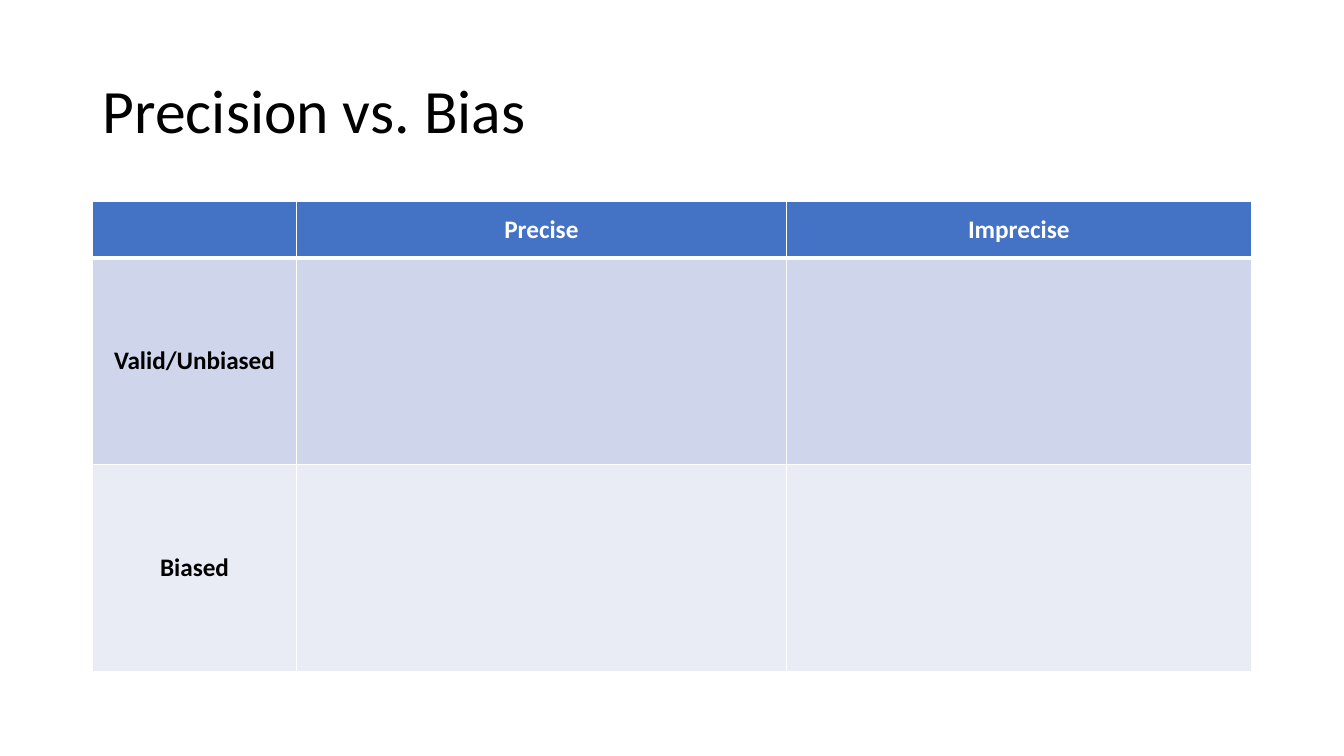
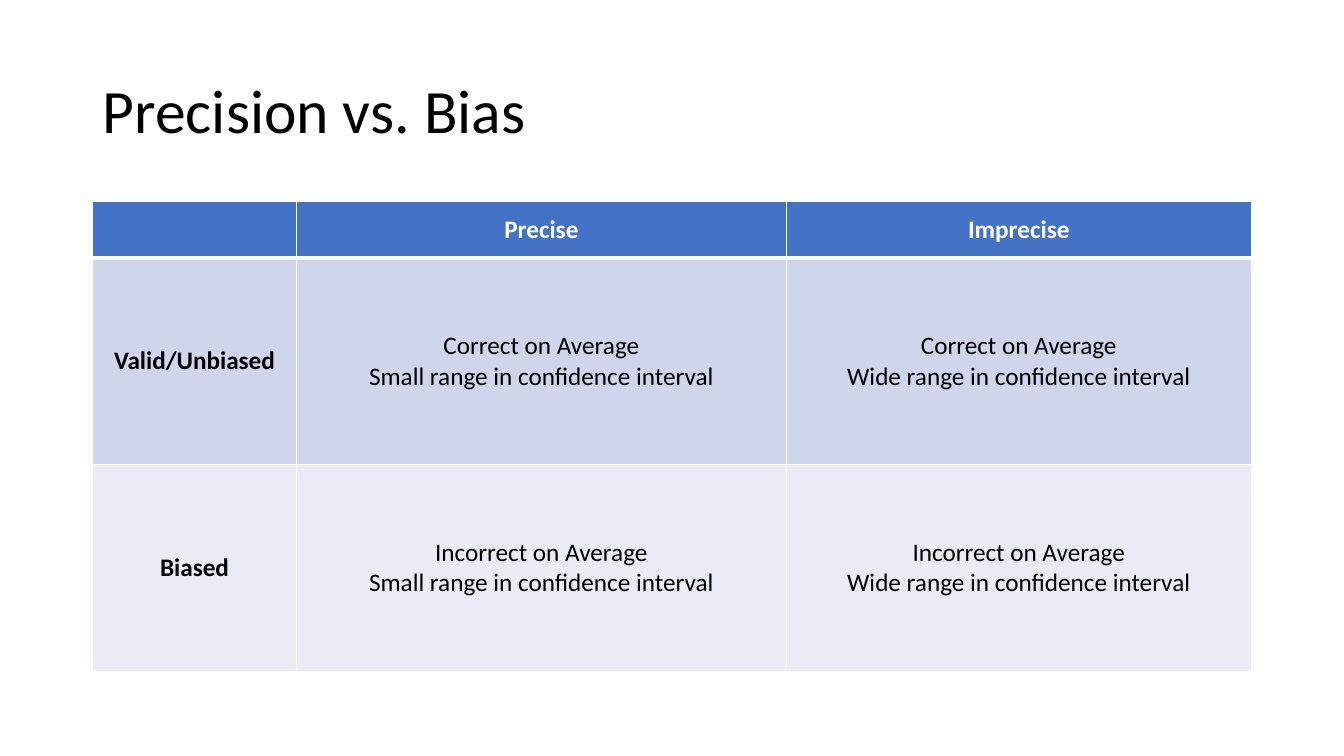
from lxml import etree
from pptx import Presentation
from pptx.dml.color import RGBColor
from pptx.enum import text as t
from pptx.oxml import ns
from pptx.util import Inches, Pt

TITLE = "Precision vs. Bias"
HEADS = ["", "Precise", "Imprecise"]
SIDES = ["Valid/Unbiased", "Biased"]
MEANS = ["Correct on Average", "Incorrect on Average"]
SPANS = ["Small range in confidence interval", "Wide range in confidence interval"]
BLANK = [[[], []], [[], []]]
FILLED = [[[mean, span] for span in SPANS] for mean in MEANS]

FONT = "Calibri"
BLACK = RGBColor(0, 0, 0)
WHITE = RGBColor(255, 255, 255)
BLUE = RGBColor(0x44, 0x72, 0xC4)
BANDS = [RGBColor(0xCF, 0xD5, 0xEA), RGBColor(0xE9, 0xEB, 0xF5)]

LEFT, WIDTH = Inches(0.92), Inches(11.5)
COLS = [2.02, 4.86, 4.61]
ROWS = [0.56, 2.05, 2.05]


def write(para, words, size, color, bold=False):
    run = para.add_run()
    run.text = words
    font = run.font
    font.name, font.size, font.bold = FONT, Pt(size), bold
    font.color.rgb = color


def edge(cell, widths):
    props = cell._tc.get_or_add_tcPr()
    for spot, (side, width) in enumerate(widths.items()):
        line = etree.Element(ns.qn("a:ln" + side), w=str(Pt(width)))
        fill = etree.SubElement(line, ns.qn("a:solidFill"))
        etree.SubElement(fill, ns.qn("a:srgbClr"), val=str(WHITE))
        props.insert(spot, line)


def add_title(slide):
    title = slide.shapes.title
    title.left, title.top = LEFT, Inches(0.4)
    title.width, title.height = WIDTH, Inches(1.45)
    frame = title.text_frame
    frame.vertical_anchor = t.MSO_ANCHOR.MIDDLE
    para = frame.paragraphs[0]
    para.alignment, para.line_spacing = t.PP_ALIGN.LEFT, 0.9
    write(para, TITLE, 44, BLACK)


def add_grid(slide, body):
    grid = slide.shapes.add_table(
        len(ROWS), len(COLS), LEFT, Inches(2), WIDTH, Inches(sum(ROWS))).table
    for col, width in zip(grid.columns, COLS):
        col.width = Inches(width)
    for row, height in zip(grid.rows, ROWS):
        row.height = Inches(height)
    cells = [[[head] if head else [] for head in HEADS]]
    cells += [[[side]] + row for side, row in zip(SIDES, body)]
    for r, row in enumerate(cells):
        for c, lines in enumerate(row):
            cell = grid.cell(r, c)
            cell.vertical_anchor = t.MSO_ANCHOR.MIDDLE
            cell.fill.solid()
            cell.fill.fore_color.rgb = BANDS[r - 1] if r else BLUE
            edge(cell, {"L": 1, "R": 1, "T": 3 if r == 1 else 1, "B": 1 if r else 3})
            frame = cell.text_frame
            for n, words in enumerate(lines):
                para = frame.add_paragraph() if n else frame.paragraphs[0]
                para.alignment = t.PP_ALIGN.CENTER
                write(para, words, 18, BLACK if r else WHITE, r == 0 or c == 0)


def main():
    deck = Presentation()
    deck.slide_width, deck.slide_height = Inches(13.33), Inches(7.5)
    for body in (BLANK, FILLED):
        slide = deck.slides.add_slide(deck.slide_layouts[5])
        add_title(slide)
        add_grid(slide, body)
    deck.save("out.pptx")


if __name__ == "__main__":
    main()
